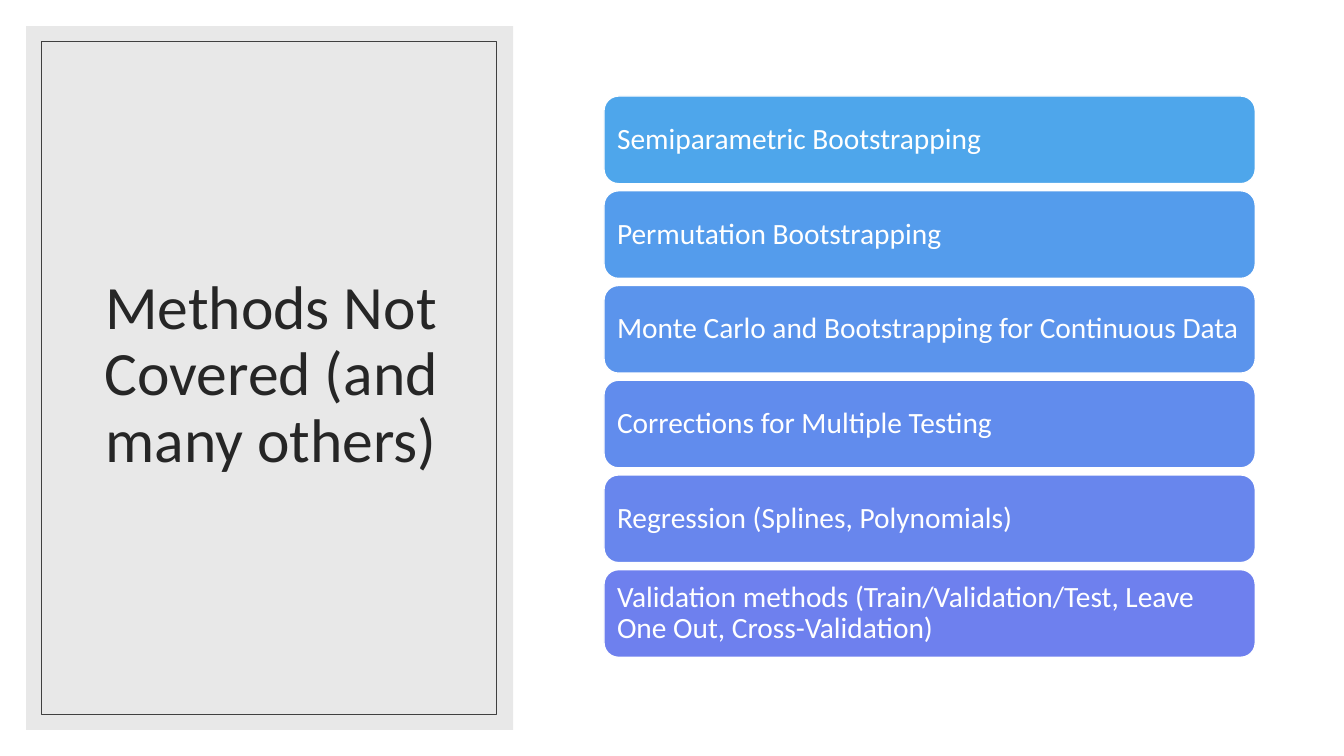
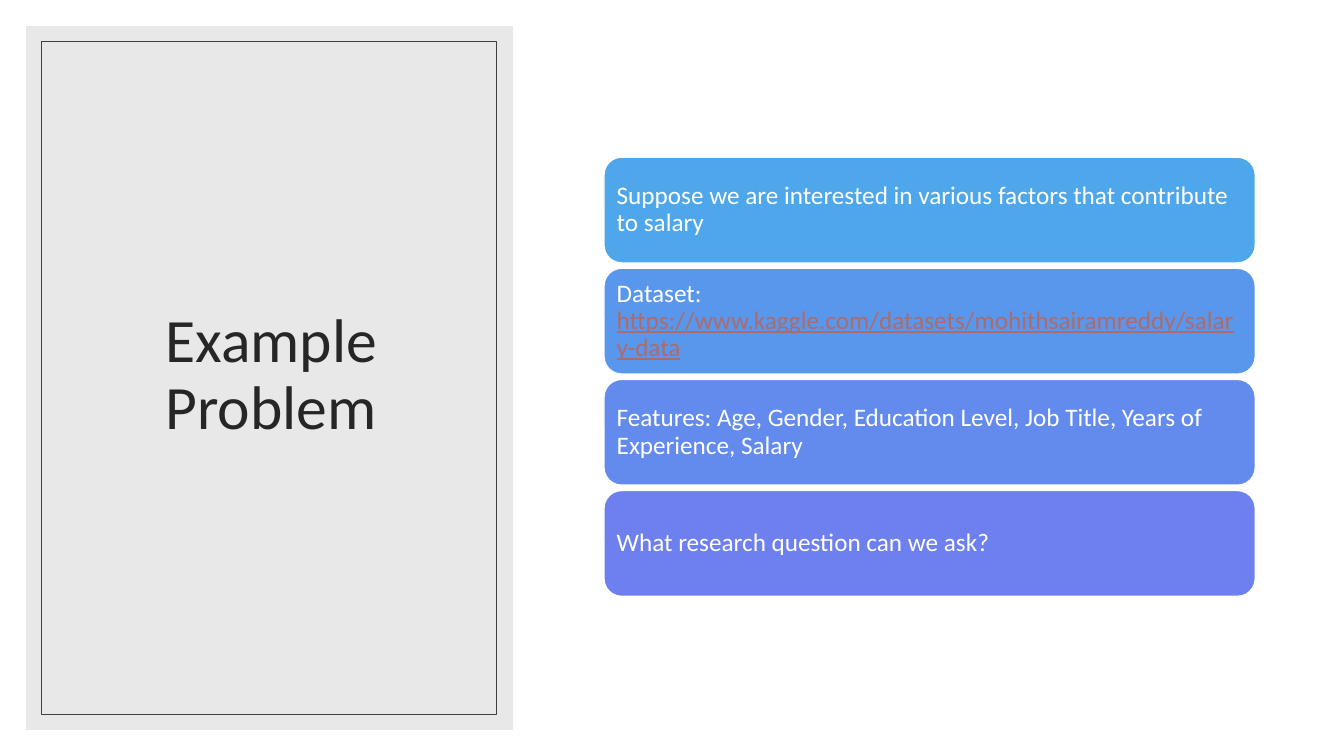
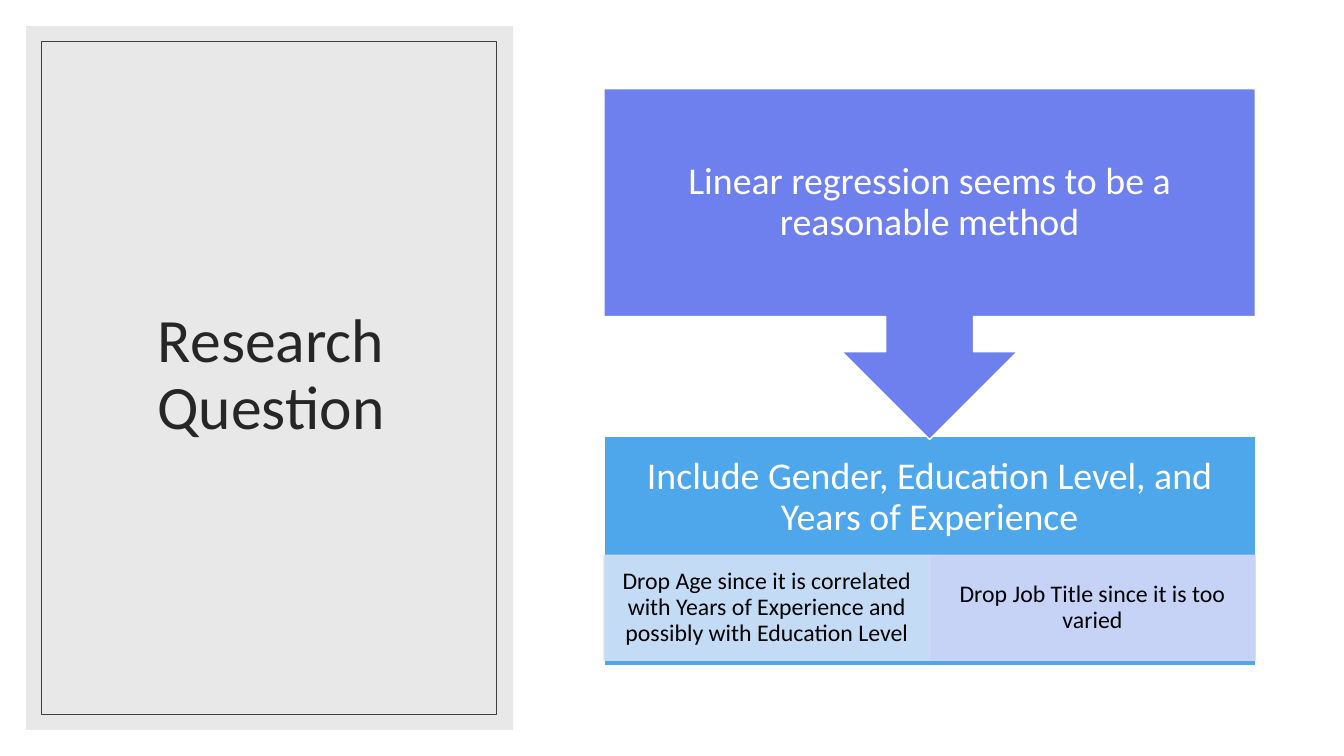
from colorsys import hls_to_rgb, rgb_to_hls
from dataclasses import dataclass
from typing import NamedTuple

from pptx import Presentation
from pptx.dml.color import RGBColor
from pptx.enum.shapes import MSO_SHAPE as Shape
from pptx.enum.text import MSO_ANCHOR as Anchor, PP_ALIGN as Align
from pptx.oxml.ns import qn
from pptx.util import Inches, Pt
from lxml.etree import SubElement

SLIDE_WIDTH, SLIDE_HEIGHT = Inches(13.33), Inches(7.5)
FONT = "Calibri"
COLORS = {
    "white": "FFFFFF", "black": "000000", "panel": "D9D9D9",
    "title": "262626", "frame": "404040", "link": "AE6B69",
    "blue": "4EA6EB", "violet": "6E80EE",
    "pale_blue": "D0E1F7", "pale_violet": "D5D8F8",
}


class Box(NamedTuple):
    """Left, top, width and height as percentages of the slide."""
    left: float
    top: float
    width: float
    height: float

    def emu(self) -> tuple[int, ...]:
        sides = (SLIDE_WIDTH, SLIDE_HEIGHT) * 2
        return tuple(round(side * share / 100) for side, share in zip(sides, self))


class Run(NamedTuple):
    text: str
    color: str = "white"
    underline: bool = False


@dataclass
class TextStyle:
    size: float
    insets: tuple[float, float, float, float]  # left, top, right, bottom in points
    align: Align = Align.CENTER


@dataclass
class Block:
    box: Box
    fill: str | None
    line: str | None = None
    line_width: float = 1
    geometry: Shape = Shape.RECTANGLE
    opacity: int = 100
    line_opacity: int = 100


@dataclass
class BarStack:
    title: str
    size: float
    bar_height: float
    gap: float
    bars: list[list[Run]]


# Shared layout
PANEL = Block(Box(1.95, 3.47, 36.23, 93.07), COLORS["panel"], opacity=60)
FRAME = Block(Box(3.08, 5.47, 33.83, 89.07), None, COLORS["frame"], 0.5)
TITLE_BOX = Box(4.73, 8.13, 30.91, 83.2)
TITLE_STYLE = TextStyle(44, (7.2, 3.6, 7.2, 3.6))
CONTENT_LEFT, CONTENT_WIDTH, CONTENT_MIDDLE = 44.94, 48.46, 49.83

STACKS = [
    BarStack("Methods Not Covered (and many others)", 21, 11.6, 0.93, [
        [Run("Semiparametric Bootstrapping")],
        [Run("Permutation Bootstrapping")],
        [Run("Monte Carlo and Bootstrapping for Continuous Data")],
        [Run("Corrections for Multiple Testing")],
        [Run("Regression (Splines, Polynomials)")],
        [Run("Validation methods (Train/Validation/Test, Leave One Out, Cross-Validation)")],
    ]),
    BarStack("Example Problem", 18, 14, 0.7, [
        [Run("Suppose we are interested in various factors that contribute to salary")],
        [Run("Dataset: "),
         Run("https://www.kaggle.com/datasets/mohithsairamreddy/salary-data", "link", True)],
        [Run("Features: Age, Gender, Education Level, Job Title, Years of Experience, Salary")],
        [Run("What research question can we ask?")],
    ]),
]


def blend(start: str, end: str, share: float) -> str:
    """Colour between two others, along the hue circle."""
    first, last = (
        rgb_to_hls(*(channel / 255 for channel in RGBColor.from_string(color)))
        for color in (start, end)
    )
    mixed = hls_to_rgb(*(a + (b - a) * share for a, b in zip(first, last)))
    return "".join(f"{round(channel * 255):02X}" for channel in mixed)


def set_opacity(parent, percent: int) -> None:
    if percent < 100:
        color = next(parent.iter(qn("a:srgbClr")))
        SubElement(color, qn("a:alpha"), val=str(percent * 1000))


def add_block(slide, block: Block):
    shape = slide.shapes.add_shape(block.geometry, *block.box.emu())
    shape.shadow.inherit = False
    if block.fill:
        shape.fill.solid()
        shape.fill.fore_color.rgb = RGBColor.from_string(block.fill)
        set_opacity(shape._element.spPr.find(qn("a:solidFill")), block.opacity)
    else:
        shape.fill.background()
    if block.line:
        shape.line.color.rgb = RGBColor.from_string(block.line)
        shape.line.width = Pt(block.line_width)
        set_opacity(shape._element.spPr.find(qn("a:ln")), block.line_opacity)
    else:
        shape.line.fill.background()
    return shape


def write(shape, runs: list[Run], style: TextStyle) -> None:
    frame = shape.text_frame
    frame.word_wrap = True
    frame.vertical_anchor = Anchor.MIDDLE
    (frame.margin_left, frame.margin_top,
     frame.margin_right, frame.margin_bottom) = map(Pt, style.insets)
    paragraph = frame.paragraphs[0]
    paragraph.alignment = style.align
    paragraph.line_spacing = 0.9
    for item in runs:
        run = paragraph.add_run()
        run.text = item.text
        run.font.name = FONT
        run.font.size = Pt(style.size)
        run.font.color.rgb = RGBColor.from_string(COLORS[item.color])
        if item.underline:
            run.font.underline = True


def add_titled_slide(presentation, title: str):
    slide = presentation.slides.add_slide(presentation.slide_layouts[6])
    add_block(slide, PANEL)
    title_box = slide.shapes.add_textbox(*TITLE_BOX.emu())
    write(title_box, [Run(title, "title")], TITLE_STYLE)
    add_block(slide, FRAME)
    return slide


def add_stack_slide(presentation, stack: BarStack) -> None:
    slide = add_titled_slide(presentation, stack.title)
    count = len(stack.bars)
    pitch = stack.bar_height + stack.gap
    top = CONTENT_MIDDLE - (count * pitch - stack.gap) / 2
    style = TextStyle(stack.size, (stack.size * 0.3,) * 4, Align.LEFT)
    for index, runs in enumerate(stack.bars):
        box = Box(CONTENT_LEFT, top + index * pitch, CONTENT_WIDTH, stack.bar_height)
        fill = blend(COLORS["blue"], COLORS["violet"], index / (count - 1))
        bar = add_block(slide, Block(box, fill, COLORS["white"],
                                     geometry=Shape.ROUNDED_RECTANGLE))
        write(bar, runs, style)


def add_question_slide(presentation) -> None:
    slide = add_titled_slide(presentation, "Research Question")

    # Conclusion, with its heading above the two details
    conclusion = add_block(slide, Block(
        Box(CONTENT_LEFT, 57.73, CONTENT_WIDTH, 30.27), COLORS["blue"], COLORS["white"]))
    write(conclusion, [Run("Include Gender, Education Level, and Years of Experience")],
          TextStyle(27, (15, 15, 15, 91)))

    # Details, side by side
    details = [
        ("pale_blue", "Drop Age since it is correlated with Years of Experience "
                      "and possibly with Education Level"),
        ("pale_violet", "Drop Job Title since it is too varied"),
    ]
    width = CONTENT_WIDTH / len(details)
    for column, (color, text) in enumerate(details):
        box = Box(CONTENT_LEFT + column * width, 73.47, width, 13.87)
        detail = add_block(slide, Block(box, COLORS[color], COLORS[color],
                                        opacity=90, line_opacity=90))
        write(detail, [Run(text, "black")], TextStyle(17, (9.4, 1.5, 9.4, 1.5)))

    # Method, pointing down at the conclusion
    method = add_block(slide, Block(
        Box(CONTENT_LEFT, 11.73, CONTENT_WIDTH, 46.4), COLORS["violet"], COLORS["white"],
        geometry=Shape.DOWN_ARROW_CALLOUT))
    write(method, [Run("Linear regression seems to be a reasonable method")],
          TextStyle(27, (15,) * 4))


def main() -> None:
    presentation = Presentation()
    presentation.slide_width, presentation.slide_height = SLIDE_WIDTH, SLIDE_HEIGHT
    for stack in STACKS:
        add_stack_slide(presentation, stack)
    add_question_slide(presentation)
    presentation.save("out.pptx")


if __name__ == "__main__":
    main()
